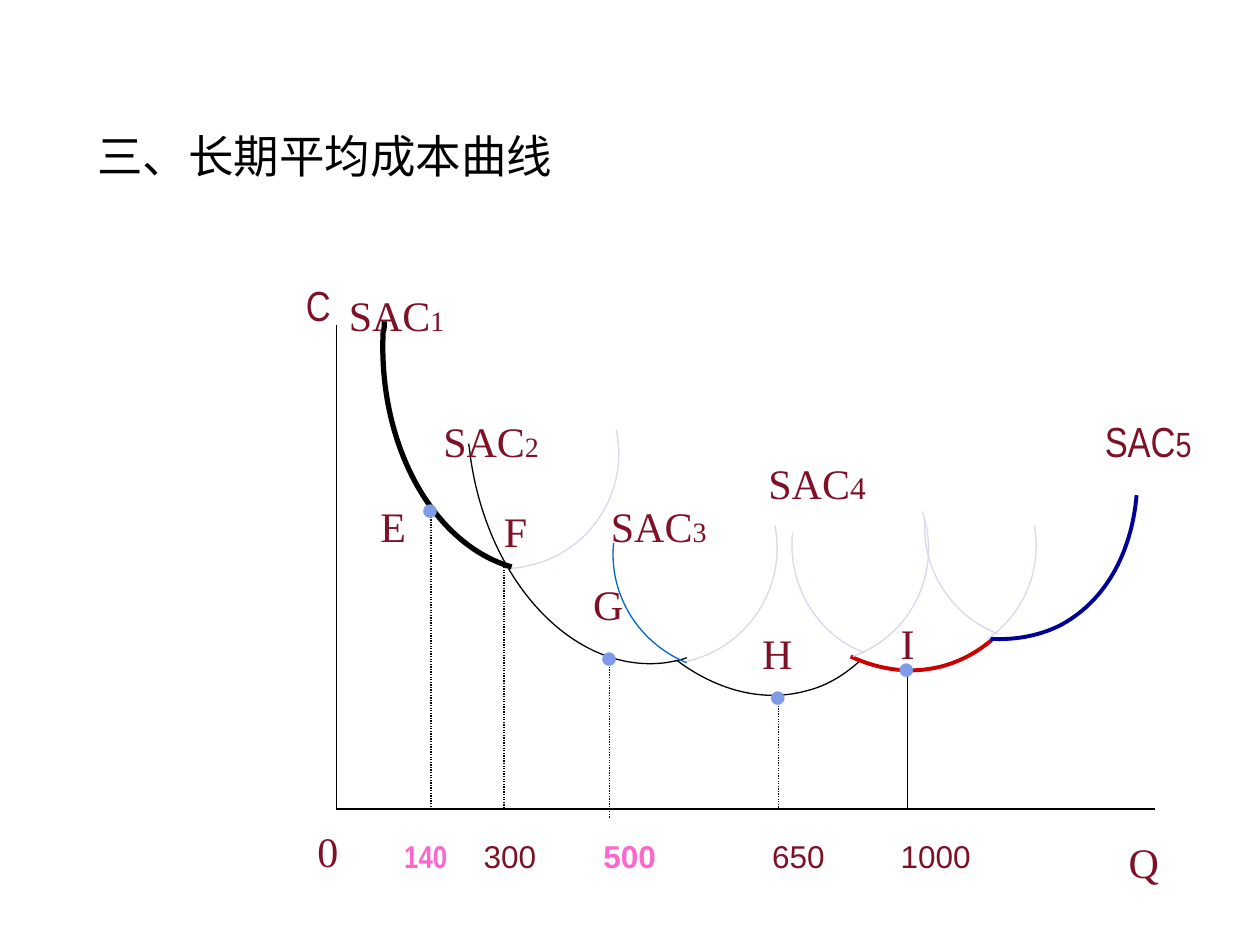
"""Build the slide on the long-run average cost curve."""
from math import cos, radians, sin

from lxml.etree import SubElement
from pptx import Presentation
from pptx.dml.color import RGBColor
from pptx.enum.dml import MSO_LINE
from pptx.enum.shapes import MSO_CONNECTOR
from pptx.enum.text import MSO_ANCHOR, MSO_AUTO_SIZE, PP_ALIGN
from pptx.oxml.ns import qn
from pptx.util import Inches, Pt

ROMAN, ARIAL, NARROW = "Times New Roman", "Arial", "Arial Narrow"
WINE, PINK, BLUE = "7E1126", "FF66CC", "7E9CE8"
BLACK, PALE = "000000", "D8D8EC"


def paint(target, tone):
    target.rgb = RGBColor.from_string(tone)


def write(frame, parts, face, tone, bold=False):
    for text, size in parts:
        run = frame.paragraphs[0].add_run()
        run.text = text
        form = {"name": face, "size": Pt(size), "bold": bold}
        for key, value in form.items():
            setattr(run.font, key, value)
        paint(run.font.color, tone)


deck = Presentation()
deck.slide_width, deck.slide_height = Inches(10), Inches(7.5)
slide = deck.slides.add_slide(deck.slide_layouts[5])
shapes = slide.shapes

title = shapes.title
place = {"left": 0.67, "top": 0.3, "width": 8.5, "height": 1.63}
for key, value in place.items():
    setattr(title, key, Inches(value))
frame = title.text_frame
form = {"vertical_anchor": MSO_ANCHOR.BOTTOM, "word_wrap": True,
        "auto_size": MSO_AUTO_SIZE.NONE, "margin_bottom": Inches(0.48)}
for key, value in form.items():
    setattr(frame, key, value)
frame.paragraphs[0].alignment = PP_ALIGN.LEFT
write(frame, [("三、长期平均成本曲线", 26)], ARIAL, BLACK)

labels = [
    (2.42, 6.5, 0.36, [("0", 24)], ROMAN, WINE),
    (8.86, 6.59, 0.44, [("Q", 24)], ROMAN, WINE),
    (2.33, 2.17, 0.5, [("C", 24)], NARROW, WINE),
    (2.67, 2.25, 0.96, [("SAC", 24), ("1", 16)], ROMAN, WINE),
    (3.42, 3.25, 0.96, [("SAC", 24), ("2", 16)], ROMAN, WINE),
    (4.75, 3.92, 0.96, [("SAC", 24), ("3", 16)], ROMAN, WINE),
    (6, 3.58, 0.97, [("SAC", 24), ("4", 18)], ROMAN, WINE),
    (8.67, 3.25, 1.33, [("SAC", 24), ("5", 20)], NARROW, WINE),
    (2.92, 3.92, 0.4, [("E", 24)], ROMAN, WINE),
    (3.9, 3.96, 0.38, [("F", 24)], ROMAN, WINE),
    (4.61, 4.54, 0.44, [("G", 24)], ROMAN, WINE),
    (5.95, 4.93, 0.44, [("H", 24)], ROMAN, WINE),
    (7.05, 4.85, 0.31, [("I", 24)], ROMAN, WINE),
    (3.11, 6.59, 0.71, [("140", 18)], NARROW, PINK),
    (3.74, 6.59, 0.63, [("300", 18)], ARIAL, WINE),
    (4.69, 6.59, 0.63, [("500", 18)], ARIAL, PINK),
    (6.03, 6.59, 0.63, [("650", 18)], ARIAL, WINE),
    (7.05, 6.59, 0.77, [("1000", 18)], ARIAL, WINE),
]
dots = [(3.24, 3.83), (4.66, 5.01), (6, 5.32), (7.02, 5.09)]

curves = [
    (BLACK, 0.75, (5.24, 3.75, 1.4, 1.83), 164,
     [(6.83, 5.24), (6.71, 5.35), (6.57, 5.44), (6.41, 5.48),
      (6.06, 5.58), (5.69, 5.48), (5.37, 5.24)]),
    (BLACK, 0.75, (3.83, 3.42, 1.51, 1.92), 172.9,
     [(5.45, 5.22), (5.4, 5.24), (5.34, 5.25), (5.28, 5.26), (4.55, 5.35),
      (3.86, 4.61), (3.73, 3.6), (3.73, 3.57), (3.72, 3.54), (3.72, 3.52)]),
    ("CC0000", 2.25, (6.57, 3.51, 1.11, 1.83), 165.8,
     [(7.87, 5.08), (7.75, 5.18), (7.62, 5.25), (7.47, 5.29),
      (7.23, 5.35), (6.99, 5.32), (6.75, 5.21)]),
    ("000099", 2.25, (7.44, 3.12, 1.55, 1.83), 153.6,
     [(9.02, 3.93), (8.98, 4.39), (8.77, 4.78), (8.4, 4.97),
      (8.23, 5.05), (8.05, 5.08), (7.86, 5.07)]),
    (PALE, 0.75, (3.9, 3.51, 1.1, 0.92), 348.1,
     [(4, 4.51), (4.06, 4.51), (4.12, 4.51), (4.19, 4.49),
      (4.68, 4.39), (5, 3.9), (4.89, 3.41)]),
    (PALE, 0.75, (5.33, 4.25, 0.92, 0.92), 348.1,
     [(5.44, 5.25), (5.93, 5.15), (6.25, 4.66), (6.15, 4.17)]),
    (PALE, 0.75, (6.58, 4.17, 0.92, 0.92), 339.9,
     [(6.77, 5.21), (7.24, 5.04), (7.48, 4.53), (7.32, 4.06)]),
    (PALE, 0.75, (7.5, 4, 0.83, 0.92), 324.9,
     [(7.84, 5.07), (8.14, 4.86), (8.27, 4.51), (8.21, 4.17)]),
    ("0066CC", 0.75, (4.75, 4.24, 0.92, 0.89), 110.5,
     [(4.87, 4.31), (4.83, 4.71), (5.06, 5.1), (5.45, 5.26)]),
    (PALE, 0.75, (6.17, 4.16, 0.92, 0.89), 110.5,
     [(6.29, 4.23), (6.25, 4.63), (6.47, 5.03), (6.86, 5.18)]),
    (PALE, 0.75, (7.23, 4.02, 0.92, 0.88), 110.5,
     [(7.34, 4.14), (7.32, 4.52), (7.55, 4.89), (7.92, 5.03)]),
    (BLACK, 3, (3, 2.58, 1.33, 1.89), 182.9,
     [(4.06, 4.5), (3.44, 4.32), (3, 3.54), (3.04, 2.64),
      (3.05, 2.61), (3.05, 2.58), (3.05, 2.55)]),
]
for tone, weight, (left, top, width, height), turn, knots in curves:
    pen = shapes.build_freeform(Inches(left), Inches(top))
    pen.add_line_segments([(Inches(left + width), Inches(top + height))], close=False)
    curve = pen.convert_to_shape()
    curve.rotation = turn
    curve.shadow.inherit = False
    curve.fill.background()
    paint(curve.line.color, tone)
    curve.line.width = Pt(weight)
    track = curve._element.find(".//" + qn("a:path"))
    for child in list(track):
        track.remove(child)
    c, s = cos(radians(turn)), sin(radians(turn))
    for rank, (x, y) in enumerate(knots):
        if rank == 0:
            piece = SubElement(track, qn("a:moveTo"))
        elif rank % 3 == 1:
            piece = SubElement(track, qn("a:cubicBezTo"))
        dx, dy = x - left - width / 2, y - top - height / 2
        point = SubElement(piece, qn("a:pt"))
        point.set("x", str(Inches(width / 2 + c * dx + s * dy)))
        point.set("y", str(Inches(height / 2 - s * dx + c * dy)))

solid, dash = MSO_LINE.SOLID, MSO_LINE.ROUND_DOT
lines = [
    (2.67, 2.58, 2.67, 6.42, 1, solid),
    (2.67, 6.42, 9.17, 6.42, 1, solid),
    (3.42, 4.08, 3.42, 6.42, 0.75, dash),
    (4, 4.5, 4, 6.42, 0.75, dash),
    (4.84, 5.25, 4.84, 6.49, 0.75, dash),
    (6.18, 5.56, 6.18, 6.43, 0.75, dash),
    (7.2, 5.32, 7.2, 6.43, 0.75, solid),
]
for *ends, weight, style in lines:
    line = shapes.add_connector(MSO_CONNECTOR.STRAIGHT, *map(Inches, ends))
    paint(line.line.color, BLACK)
    line.line.width = Pt(weight)
    line.line.dash_style = style
    SubElement(line._element.spPr, qn("a:effectLst"))

marks = [(x, y, 0.35, [("●", 18)], ARIAL, BLUE) for x, y in dots]
for x, y, width, parts, face, tone in labels + marks:
    height = 0.5 if parts[0][1] == 24 else 0.4
    box = shapes.add_textbox(*map(Inches, (x, y, width, height)))
    box.text_frame.word_wrap = face == NARROW
    box.text_frame.auto_size = MSO_AUTO_SIZE.SHAPE_TO_FIT_TEXT
    write(box.text_frame, parts, face, tone, tone == PINK)

deck.save("out.pptx")
